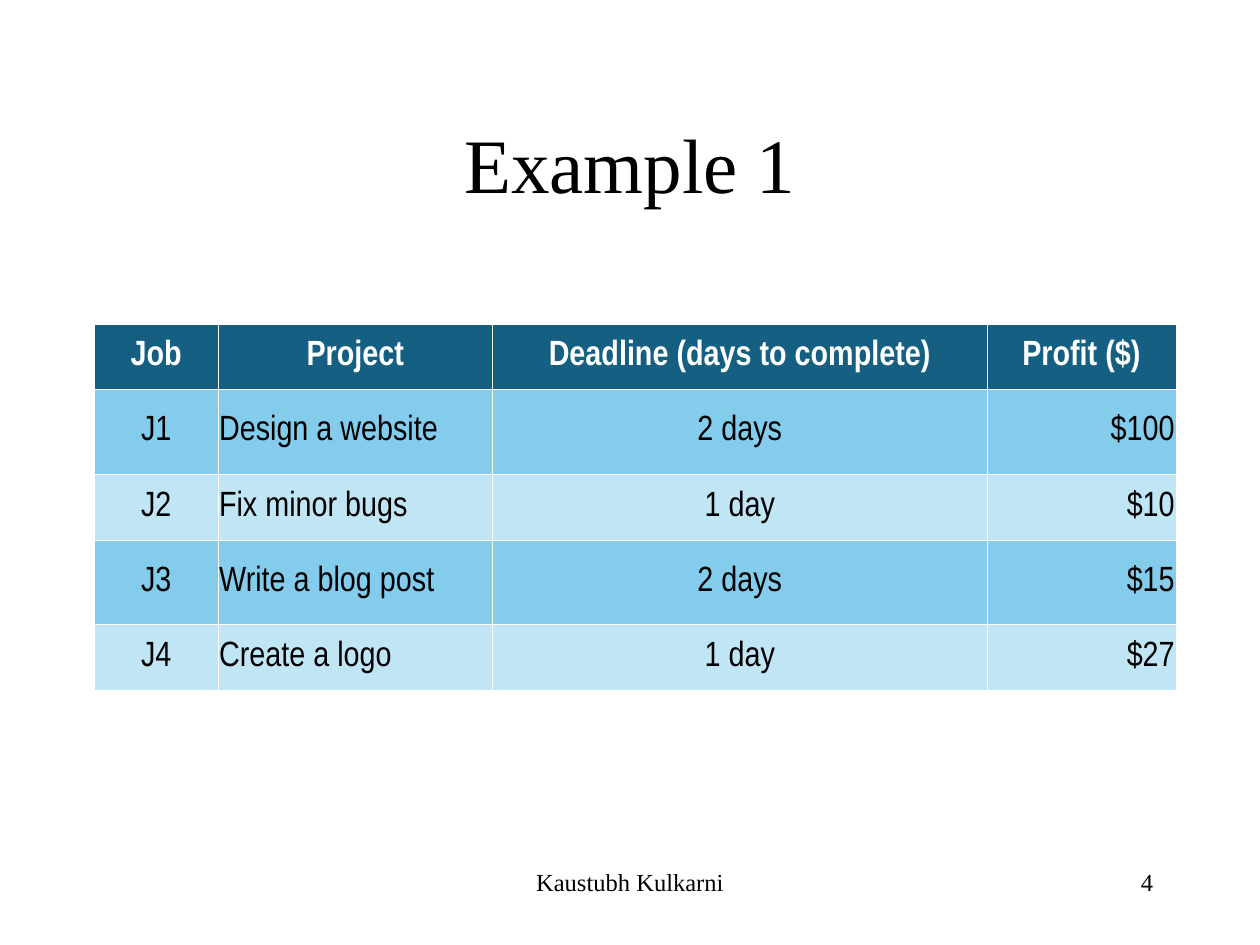
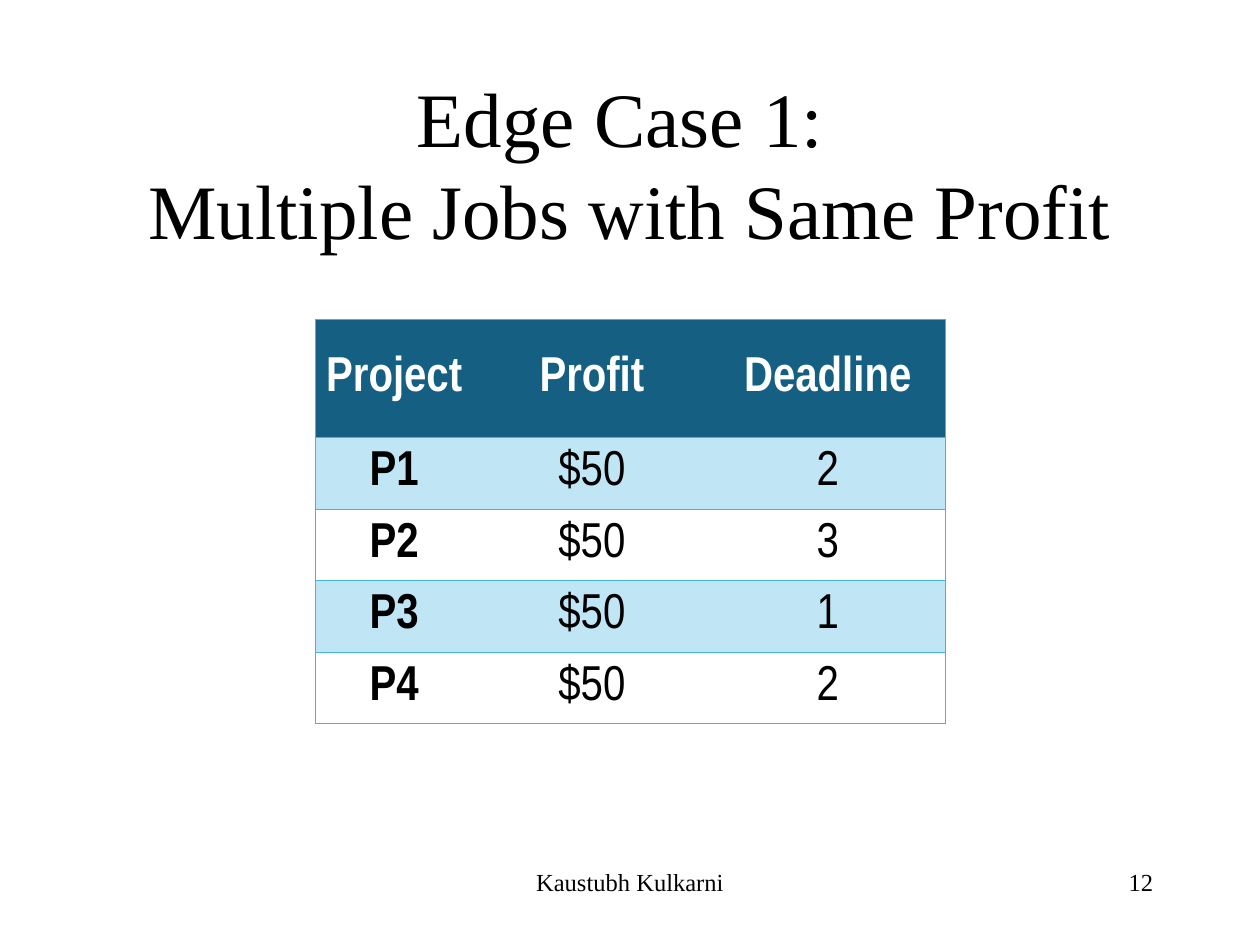
from dataclasses import dataclass

import pptx
import pptx.dml.color
import pptx.enum.text
import pptx.oxml
import pptx.oxml.ns
import pptx.util

Pt = pptx.util.Pt
ALIGN = pptx.enum.text.PP_ALIGN
MIDDLE = pptx.enum.text.MSO_ANCHOR.MIDDLE
TOP = pptx.enum.text.MSO_ANCHOR.TOP

COLORS = {
    "text": "000000",
    "white": "FFFFFF",
    "header": "156082",
    "band": "83CCEB",
    "light": "C0E6F5",
    "rule": "44B3E1",
}
SERIF = "Times New Roman"
NARROW = "Arial Narrow"
BORDER_WIDTH = Pt(0.23)


@dataclass
class TextBox:
    """Position, size and style of a text box shared by the slides."""
    left: float
    top: float
    width: float
    height: float
    size: float
    align: int
    anchor: int = TOP


@dataclass
class TableSpec:
    left: float
    top: float
    cols: list[float]
    row_heights: list[float]
    rows: list[list[str]]
    aligns: list[int]
    size: float
    bands: list[str | None]
    border: str
    inner_verticals: bool
    bold_first_col: bool


@dataclass
class Page:
    title: str
    table: TableSpec
    number: int


# Shared text boxes
TITLE = TextBox(54, 48, 612, 90, 44, ALIGN.CENTER, MIDDLE)
FOOTER = TextBox(246, 492, 228, 36, 14, ALIGN.CENTER)
NUMBER = TextBox(516, 492, 150, 36, 14, ALIGN.RIGHT)
AUTHOR = "Kaustubh Kulkarni"

PAGES = [
    Page("Example 1", TableSpec(
        left=54, top=185,
        cols=[70.5, 157, 282.5, 108],
        row_heights=[37.5, 48.5, 37.5, 48.5, 37.5],
        rows=[
            ["Job", "Project", "Deadline (days to complete)", "Profit ($)"],
            ["J1", "Design a website", "2 days", "$100"],
            ["J2", "Fix minor bugs", "1 day", "$10"],
            ["J3", "Write a blog post", "2 days", "$15"],
            ["J4", "Create a logo", "1 day", "$27"],
        ],
        aligns=[ALIGN.CENTER, ALIGN.LEFT, ALIGN.CENTER, ALIGN.RIGHT],
        size=20, bands=["band", "light"], border="white",
        inner_verticals=True, bold_first_col=False), 4),
    Page("Edge Case 1: \vMultiple Jobs with Same Profit", TableSpec(
        left=180, top=182.5,
        cols=[90.5, 135.5, 134],
        row_heights=[67.5] + [34] * 4,
        rows=[
            ["Project", "Profit", "Deadline"],
            ["P1", "$50", "2"],
            ["P2", "$50", "3"],
            ["P3", "$50", "1"],
            ["P4", "$50", "2"],
        ],
        aligns=[ALIGN.CENTER] * 3,
        size=28, bands=["light", None], border="rule",
        inner_verticals=False, bold_first_col=True), 12),
]


def rgb(name: str) -> pptx.dml.color.RGBColor:
    return pptx.dml.color.RGBColor.from_string(COLORS[name])


def write(tf, text: str, align: int, color: str, **font) -> None:
    """Put text into the first paragraph and apply its format."""
    p = tf.paragraphs[0]
    p.text = text
    p.alignment = align
    for r in p.runs:
        for key, value in font.items():
            setattr(r.font, key, value)
        r.font.color.rgb = rgb(color)


def add_text(s, box: TextBox, text: str) -> None:
    sp = s.shapes.add_textbox(Pt(box.left), Pt(box.top), Pt(box.width), Pt(box.height))
    tf = sp.text_frame
    tf.word_wrap = True
    tf.vertical_anchor = box.anchor
    write(tf, text, box.align, "text", name=SERIF, size=Pt(box.size))


def add_border(cell, side: str, color: str | None) -> None:
    """Draw one cell edge, or clear it when there is no colour."""
    fill = (f'<a:solidFill><a:srgbClr val="{COLORS[color]}"/></a:solidFill>'
            if color else "<a:noFill/>")
    cell._tc.get_or_add_tcPr().append(pptx.oxml.parse_xml(
        f'<a:ln{side} {pptx.oxml.ns.nsdecls("a")} w="{BORDER_WIDTH}">{fill}</a:ln{side}>'))


def add_table(s, spec: TableSpec) -> None:
    n_rows, n_cols = len(spec.rows), len(spec.cols)
    table = s.shapes.add_table(
        n_rows, n_cols, Pt(spec.left), Pt(spec.top),
        Pt(sum(spec.cols)), Pt(sum(spec.row_heights))).table
    for column, width in zip(table.columns, spec.cols):
        column.width = Pt(width)
    for row, height in zip(table.rows, spec.row_heights):
        row.height = Pt(height)

    cell_format = {
        "margin_left": Pt(0.72), "margin_right": Pt(0.72),
        "margin_top": Pt(3.6), "margin_bottom": Pt(3.6),
        "vertical_anchor": MIDDLE,
    }
    for i, row in enumerate(spec.rows):
        header = i == 0
        fill = "header" if header else spec.bands[(i - 1) % len(spec.bands)]
        for j, text in enumerate(row):
            cell = table.cell(i, j)
            for key, value in cell_format.items():
                setattr(cell, key, value)
            # Edges come before the fill in the cell properties
            edges = {
                "L": spec.inner_verticals or j == 0,
                "R": spec.inner_verticals or j == n_cols - 1,
                "T": True,
                "B": True,
            }
            for side, shown in edges.items():
                add_border(cell, side, spec.border if shown else None)
            if fill:
                cell.fill.solid()
                cell.fill.fore_color.rgb = rgb(fill)
            else:
                cell.fill.background()
            write(cell.text_frame, text,
                  ALIGN.CENTER if header else spec.aligns[j],
                  "white" if header else "text",
                  name=NARROW, size=Pt(spec.size),
                  bold=header or (spec.bold_first_col and j == 0))


def main() -> None:
    prs = pptx.Presentation()
    prs.slide_width, prs.slide_height = Pt(720), Pt(540)
    for page in PAGES:
        s = prs.slides.add_slide(prs.slide_layouts[6])
        add_text(s, TITLE, page.title)
        add_table(s, page.table)
        add_text(s, FOOTER, AUTHOR)
        add_text(s, NUMBER, str(page.number))
    prs.save("out.pptx")


if __name__ == "__main__":
    main()
